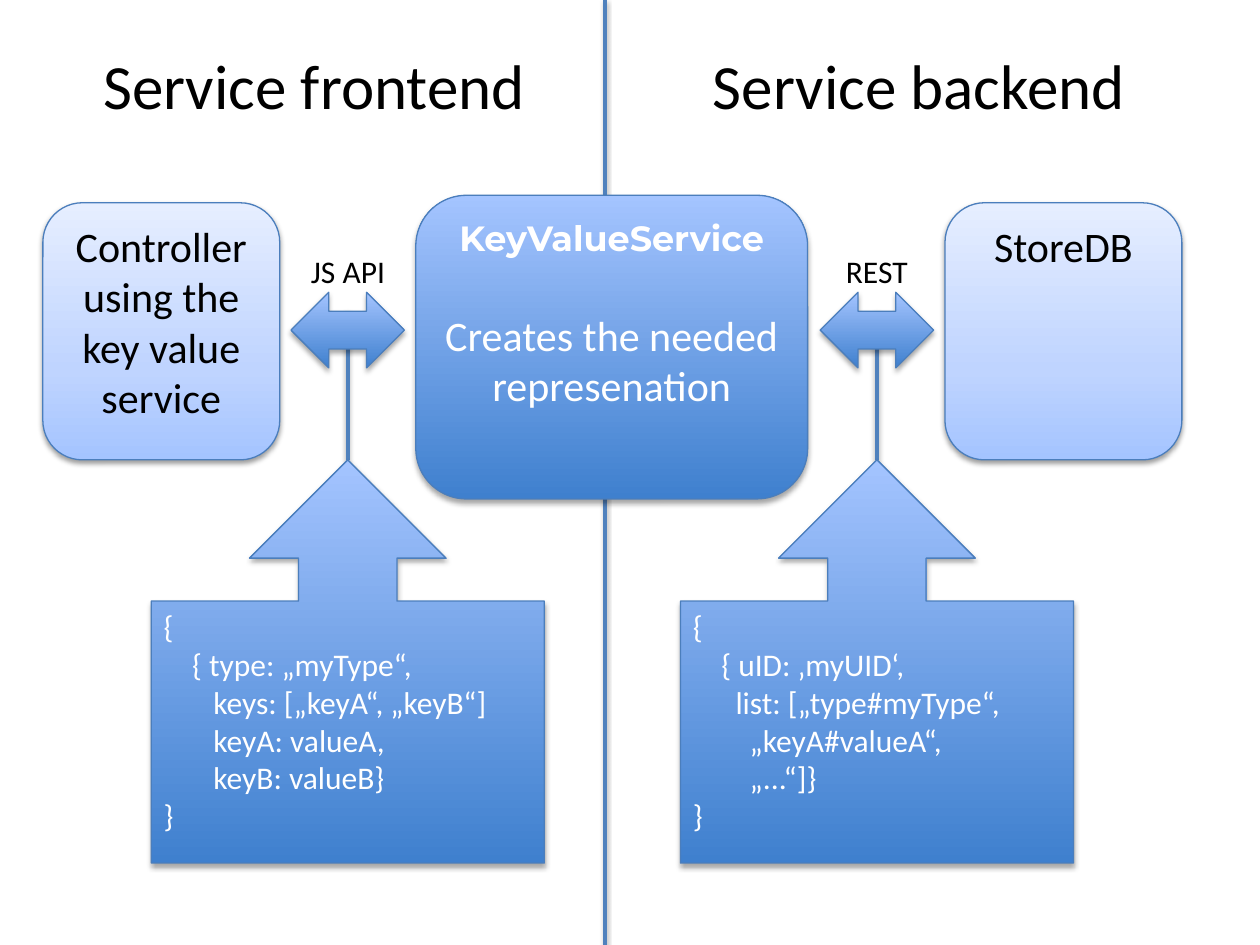
from pptx import Presentation
from pptx.dml.color import RGBColor
from pptx.enum.shapes import MSO_CONNECTOR, MSO_SHAPE
from pptx.enum.text import MSO_ANCHOR, MSO_AUTO_SIZE, PP_ALIGN
from pptx.oxml import parse_xml
from pptx.oxml.ns import qn
from pptx.util import Inches, Pt

ROUNDED = MSO_SHAPE.ROUNDED_RECTANGLE
CALLOUT = MSO_SHAPE.UP_ARROW_CALLOUT
DOUBLE_ARROW = MSO_SHAPE.LEFT_RIGHT_ARROW
STRAIGHT = MSO_CONNECTOR.STRAIGHT
TOP = MSO_ANCHOR.TOP
FIT_SHAPE = MSO_AUTO_SIZE.SHAPE_TO_FIT_TEXT
LEFT, CENTER = PP_ALIGN.LEFT, PP_ALIGN.CENTER

BLACK = RGBColor(0x00, 0x00, 0x00)
WHITE = RGBColor(0xFF, 0xFF, 0xFF)
OUTLINE = RGBColor(0x4B, 0x7E, 0xBC)
LINE_BLUE = RGBColor(0x4F, 0x81, 0xBD)
DEEP_BLUE = RGBColor(0x3F, 0x80, 0xCE)
SKY_BLUE = RGBColor(0xA4, 0xC4, 0xFF)
PALE_BLUE = RGBColor(0xBF, 0xD4, 0xFF)
ICE_BLUE = RGBColor(0xE6, 0xEE, 0xFF)

STRONG = [(0, DEEP_BLUE), (100, SKY_BLUE)]
LIGHT = [(0, SKY_BLUE), (35, PALE_BLUE), (100, ICE_BLUE)]
STRONG_SHADOW = {"distance": 1.8, "opacity": 35}
LIGHT_SHADOW = {"distance": 1.6, "opacity": 38}

NAMESPACE = 'xmlns:a="http://schemas.openxmlformats.org/drawingml/2006/main"'
SPACE_WIDTH = 0.0565
SIDE_STEP = 4.2

BODY = {"size": Pt(24), "name": "Calibri"}
CODE = {"size": Pt(18), "name": "Calibri"}
HEADING = {"size": Pt(36), "name": "Calibri"}
SERVICE_NAME = {"size": Pt(20), "name": "Montserrat", "bold": True}

FRONTEND_CODE = [
    ("{", 0),
    ("{ type: „myType“,", 4),
    ("keys: [„keyA“, „keyB“]", 7),
    ("keyA: valueA,", 7),
    ("keyB: valueB}", 7),
    ("}", 0),
]
BACKEND_CODE = [
    ("{", 0),
    ("{ uID: ‚myUID‘,", 4),
    ("list: [„type#myType“,", 6),
    ("„keyA#valueA“,", 8),
    ("„...“]}", 8),
    ("}", 0),
]


def apply(target, values):
    for name, value in values.items():
        setattr(target, name, value)


def add_shadow(properties, distance, opacity):
    effects = properties.find(qn("a:effectLst"))
    if effects is not None:
        properties.remove(effects)
    properties.append(parse_xml(
        f'<a:effectLst {NAMESPACE}><a:outerShdw blurRad="{Pt(3.1)}" '
        f'dist="{Pt(distance)}" dir="5400000" rotWithShape="0">'
        f'<a:srgbClr val="000000"><a:alpha val="{opacity * 1000}"/></a:srgbClr>'
        '</a:outerShdw></a:effectLst>'))


def add_gradient(properties, stops):
    marks = "".join(
        f'<a:gs pos="{position * 1000}"><a:srgbClr val="{color}"/></a:gs>'
        for position, color in stops)
    properties.find(qn("a:prstGeom")).addnext(parse_xml(
        f'<a:gradFill {NAMESPACE} rotWithShape="1"><a:gsLst>{marks}</a:gsLst>'
        '<a:lin ang="16200000" scaled="0"/></a:gradFill>'))


def add_block(page, kind, area, stops=STRONG, shadow=STRONG_SHADOW):
    block = page.shapes.add_shape(kind, *map(Inches, area))
    block.shadow.inherit = False
    properties = block._element.spPr
    add_gradient(properties, stops)
    block.line.color.rgb = OUTLINE
    block.line.width = Pt(0.75)
    add_shadow(properties, **shadow)
    block.text_frame.vertical_anchor = TOP
    return block


def add_line(page, x, top, bottom):
    line = page.shapes.add_connector(STRAIGHT, *map(Inches, (x, top, x, bottom)))
    line.line.color.rgb = LINE_BLUE
    line.line.width = Pt(2)
    add_shadow(line._element.spPr, **LIGHT_SHADOW)


def write(box, lines, color, align=LEFT):
    frame = box.text_frame
    for index, (text, font, indent) in enumerate(lines):
        para = frame.add_paragraph() if index else frame.paragraphs[0]
        para.alignment = align
        if indent:
            para._p.get_or_add_pPr().set("marL", str(Inches(indent * SPACE_WIDTH)))
        span = para.add_run()
        span.text = text
        apply(span.font, font)
        span.font.color.rgb = color


def write_label(box, text, font):
    apply(box.text_frame, {"word_wrap": False, "auto_size": FIT_SHAPE,
                           "vertical_anchor": TOP})
    write(box, [(text, font, 0)], BLACK)


def add_label(page, area, text, font):
    write_label(page.shapes.add_textbox(*map(Inches, area)), text, font)


def add_headings(page):
    title = page.shapes.title
    apply(title, {"left": Inches(0.72), "top": Inches(0.32),
                  "width": Inches(3.6), "height": Inches(0.71)})
    write_label(title, "Service frontend", HEADING)
    add_label(page, (5.56, 0.32, 3.52, 0.71), "Service backend", HEADING)


def add_service(page):
    service = add_block(page, ROUNDED, (3.3, 1.55, 3.11, 2.41))
    write(service, [("KeyValueService", SERVICE_NAME, 0),
                    ("Creates the needed", BODY, 0),
                    ("represenation", BODY, 0)], WHITE, CENTER)
    service.text_frame.paragraphs[1].space_before = Pt(29)


def add_partner(page, left, text):
    partner = add_block(page, ROUNDED, (left, 1.61, 1.88, 2.04), LIGHT, LIGHT_SHADOW)
    write(partner, [(text, BODY, 0)], BLACK, CENTER)


def add_interface(page, left, label, label_width, code):
    center = left + 1.56
    add_line(page, center, 2.47, 3.65)
    add_block(page, DOUBLE_ARROW, (center - 0.45, 2.32, 0.9, 0.6))
    callout = add_block(page, CALLOUT, (left, 3.65, 3.12, 3.2))
    write(callout, [(text, CODE, indent) for text, indent in code], WHITE)
    add_label(page, (center + 0.01 - label_width / 2, 1.95, label_width, 0.4),
              label, CODE)


def main():
    deck = Presentation()
    deck.slide_width, deck.slide_height = Inches(10), Inches(7.5)
    page = deck.slides.add_slide(deck.slide_layouts[5])
    add_line(page, 4.8, 0, 7.5)
    add_headings(page)
    add_service(page)
    add_partner(page, 0.34, "Controller using the key value service")
    add_partner(page, 7.5, "StoreDB")
    add_interface(page, 1.2, "JS API", 0.8, FRONTEND_CODE)
    add_interface(page, 1.2 + SIDE_STEP, "REST", 0.71, BACKEND_CODE)
    deck.save("out.pptx")


main()
